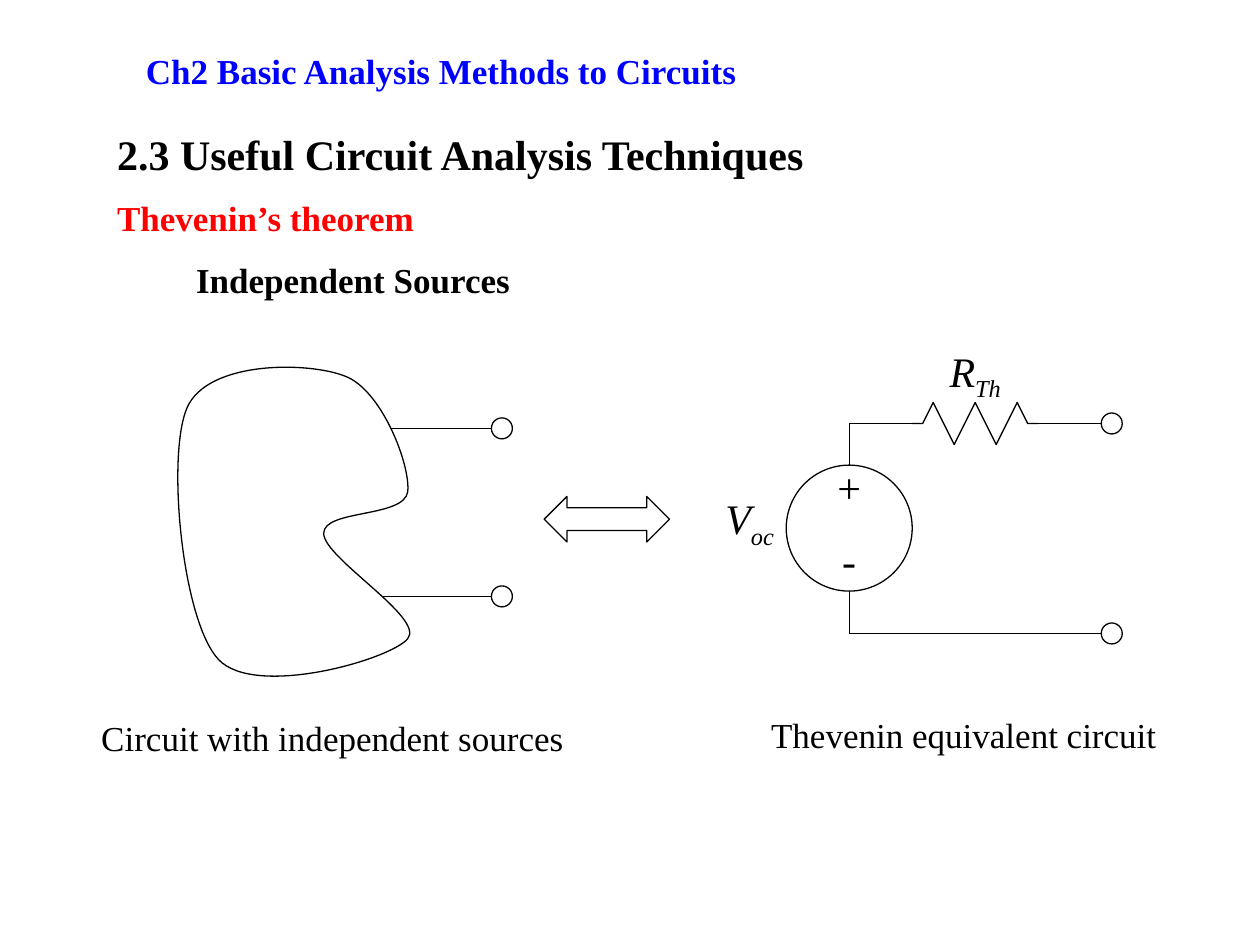
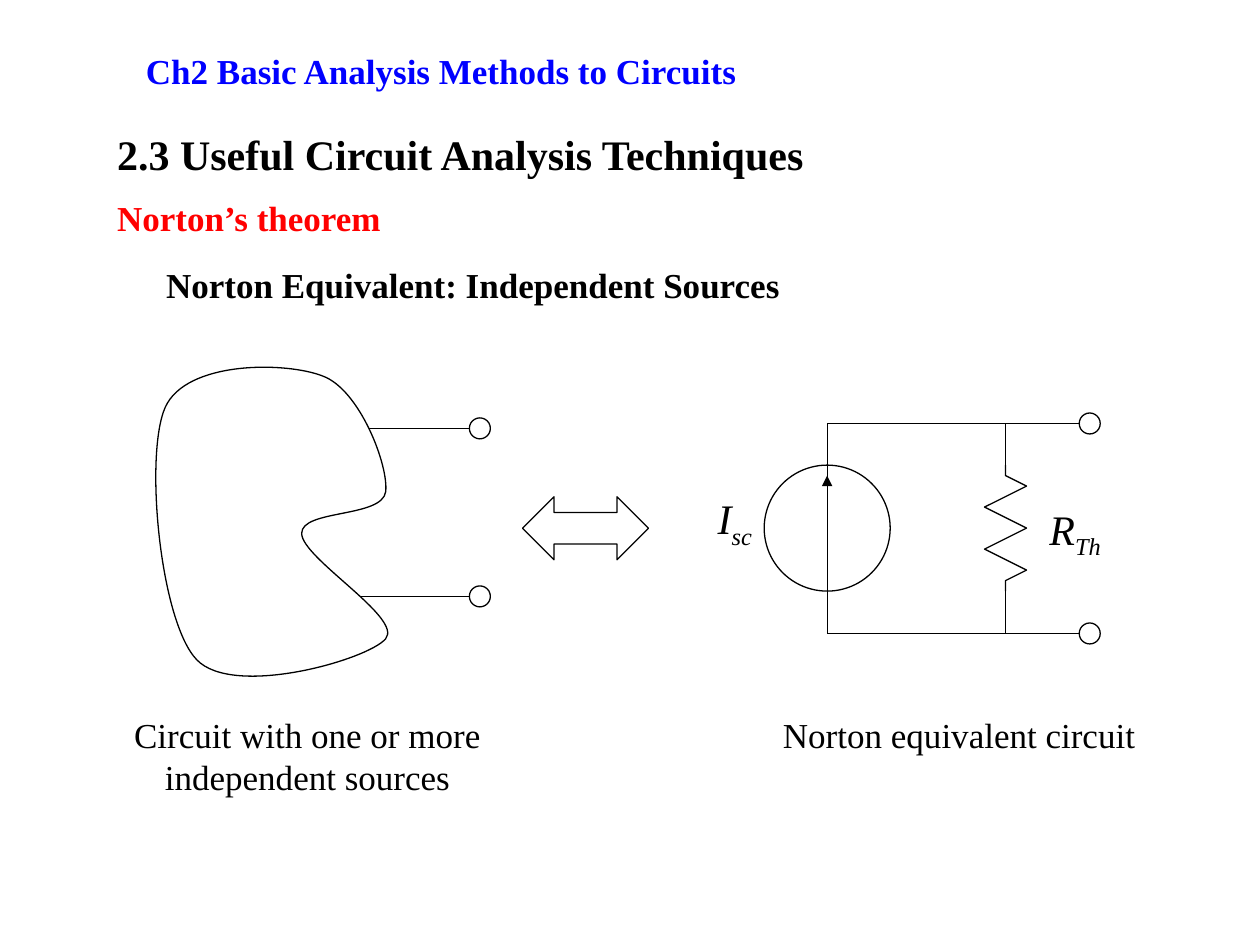
from dataclasses import dataclass

from lxml.etree import SubElement
from pptx import Presentation
from pptx.dml.color import RGBColor
from pptx.enum.shapes import MSO_CONNECTOR as Connector, MSO_SHAPE as Preset
from pptx.enum.text import MSO_ANCHOR as Anchor, PP_ALIGN as Align
from pptx.oxml.ns import qn
from pptx.util import Pt


@dataclass(frozen=True)
class Theme:
    font: str = "Times New Roman"
    ink: RGBColor = RGBColor(0, 0, 0)
    chapter: RGBColor = RGBColor(0, 0, 255)
    topic: RGBColor = RGBColor(255, 0, 0)
    paper: RGBColor = RGBColor(255, 255, 255)
    body_size: int = 20
    large_size: int = 24
    line_width: float = 0.75


THEME = Theme()

# Circuit geometry in points, shared by both slides
TOP_WIRE, BOTTOM_WIRE = 242, 362
SOURCE_X, SOURCE_Y, SOURCE_RADIUS = 485.3, 301.8, 36
TERMINAL_X, TERMINAL_SIZE = 629.3, 12
PORT_START, PORT_END, PORT_HEIGHTS = 197.3, 280.8, (340.8, 244.8)
NORTON_SHIFT = -12.6
RESISTOR_LENGTH = 72
RESISTOR_ZIGZAG = ((0, 0), (6, 0), (12, -12), (24, 12), (36, -12),
                   (48, 12), (60, -12), (66, 0), (72, 0))
NETWORK_BOX = (95, 206, 148, 193)
NETWORK_START = (107, 232.8)
NETWORK_CURVES = (
    ((119, 206), (176, 206.6), (197, 214.9)),
    ((218, 222.5), (234.7, 265.7), (233, 281)),
    ((231, 296), (185, 291), (185, 304.8)),
    ((185, 319), (243, 353), (233, 365)),
    ((223, 377), (146, 399), (125, 377)),
    ((104, 355), (95, 260), NETWORK_START),
)


def add_text(slide, box, text, size=THEME.body_size, color=THEME.ink, bold=False,
             italic=False, align=Align.LEFT, anchor=Anchor.TOP, subscript=""):
    frame = slide.shapes.add_textbox(*map(Pt, box)).text_frame
    frame.word_wrap = True
    frame.vertical_anchor = anchor
    paragraph = frame.paragraphs[0]
    paragraph.alignment = align
    font = paragraph.font
    font.name, font.size, font.bold, font.italic = THEME.font, Pt(size), bold, italic
    font.color.rgb = color
    paragraph.add_run().text = text
    if subscript:
        run = paragraph.add_run()
        run.text = subscript
        run._r.get_or_add_rPr().set("baseline", "-25000")


def add_symbol(slide, box, text, subscript="", align=Align.CENTER):
    add_text(slide, box, text, THEME.large_size, italic=bool(subscript),
             align=align, subscript=subscript)


def add_caption(slide, box, text):
    add_text(slide, box, text, align=Align.CENTER)


def outline(shape, fill=None):
    shape.shadow.inherit = False
    shape.line.color.rgb = THEME.ink
    shape.line.width = Pt(THEME.line_width)
    if fill is None:
        shape.fill.background()
    else:
        shape.fill.solid()
        shape.fill.fore_color.rgb = fill


def add_preset(slide, preset, box):
    shape = slide.shapes.add_shape(preset, *map(Pt, box))
    outline(shape)
    return shape


def add_double_arrow(slide, box, shaft):
    arrow = add_preset(slide, Preset.LEFT_RIGHT_ARROW, box)
    arrow.adjustments[0] = 0.5
    arrow.adjustments[1] = shaft


def add_wire(slide, start, end, arrowhead=False):
    wire = slide.shapes.add_connector(Connector.STRAIGHT, *map(Pt, (*start, *end)))
    wire.line.color.rgb = THEME.ink
    wire.line.width = Pt(THEME.line_width)
    if arrowhead:
        SubElement(wire.line._get_or_add_ln(), qn("a:tailEnd"), type="triangle")
    SubElement(wire._element.spPr, qn("a:effectLst"))


def add_terminal(slide, left, middle):
    add_preset(slide, Preset.OVAL,
               (left, middle - TERMINAL_SIZE / 2, TERMINAL_SIZE, TERMINAL_SIZE))


def add_polygon(slide, points, close):
    points = [(Pt(x), Pt(y)) for x, y in points]
    builder = slide.shapes.build_freeform(*points[0])
    builder.add_line_segments(points[1:], close=close)
    return builder.convert_to_shape()


def add_resistor(slide, x, y, vertical=False):
    points = [(x - across, y + along) if vertical else (x + along, y + across)
              for along, across in RESISTOR_ZIGZAG]
    outline(add_polygon(slide, points, close=False))


def add_network(slide, shift=0):
    """Draw the closed curved outline and its two ports."""
    for height in PORT_HEIGHTS:
        add_wire(slide, (PORT_START + shift, height), (PORT_END + shift, height))
        add_terminal(slide, PORT_END + shift, height)

    left, top, width, height = NETWORK_BOX
    x = left + shift
    shape = add_polygon(slide, [(x, top), (x + width, top), (x + width, top + height),
                                (x, top + height)], close=True)
    outline(shape, THEME.paper)

    # The frame's straight edges give way to Bézier curves
    path = next(shape._element.iter(qn("a:path")))
    for edge in list(path):
        path.remove(edge)

    def add_command(tag, points):
        command = SubElement(path, qn(tag))
        for px, py in points:
            SubElement(command, qn("a:pt"), x=str(Pt(px - left)), y=str(Pt(py - top)))

    add_command("a:moveTo", [NETWORK_START])
    for curve in NETWORK_CURVES:
        add_command("a:cubicBezTo", curve)
    add_command("a:close", [])


def add_source(slide, name, subscript, shift=0):
    """Draw the source circle, its name and the two output terminals."""
    x = SOURCE_X + shift
    add_symbol(slide, (x - 90, 278, 54, 40), name, subscript, Align.RIGHT)
    add_preset(slide, Preset.OVAL, (x - SOURCE_RADIUS, SOURCE_Y - SOURCE_RADIUS,
                                    2 * SOURCE_RADIUS, 2 * SOURCE_RADIUS))
    for height in (TOP_WIRE, BOTTOM_WIRE):
        add_terminal(slide, TERMINAL_X + shift, height)
    add_wire(slide, (TERMINAL_X + shift, BOTTOM_WIRE), (x, BOTTOM_WIRE))


def add_theorem_slide(presentation, topic):
    slide = presentation.slides.add_slide(presentation.slide_layouts[6])
    add_text(slide, (76.3, 20.2, 590, 39.6), "Ch2 Basic Analysis Methods to Circuits",
             color=THEME.chapter, bold=True, anchor=Anchor.MIDDLE)
    add_text(slide, (59.8, 69.8, 438, 36), "2.3 Useful Circuit Analysis Techniques",
             THEME.large_size, bold=True)
    add_text(slide, (59.8, 108.7, 340, 31.7), topic, color=THEME.topic, bold=True)
    return slide


def add_heading(slide, box, text):
    add_text(slide, box, text, bold=True, anchor=Anchor.MIDDLE)


def add_thevenin_slide(presentation):
    slide = add_theorem_slide(presentation, "Thevenin’s theorem")
    add_heading(slide, (105, 139.7, 255, 39.6), "Independent Sources")
    add_network(slide)
    add_caption(slide, (36.7, 406, 306.7, 31.7), "Circuit with independent sources")
    add_double_arrow(slide, (311, 283.7, 71.6, 26), 0.5)

    add_source(slide, "V", "oc")
    for top, sign in ((260, "+"), (301.7, "-")):
        add_symbol(slide, (SOURCE_X - 18, top, 36, 36), sign)
    for wire, side in ((TOP_WIRE, -1), (BOTTOM_WIRE, 1)):
        add_wire(slide, (SOURCE_X, SOURCE_Y + side * SOURCE_RADIUS), (SOURCE_X, wire))
    resistor_x = SOURCE_X + SOURCE_RADIUS
    add_wire(slide, (SOURCE_X, TOP_WIRE), (resistor_x, TOP_WIRE))
    add_resistor(slide, resistor_x, TOP_WIRE)
    add_wire(slide, (resistor_x + RESISTOR_LENGTH, TOP_WIRE), (TERMINAL_X, TOP_WIRE))
    add_symbol(slide, (resistor_x, 193.7, 72, 40), "R", "Th")
    add_caption(slide, (427.7, 404, 246.2, 31.7), "Thevenin equivalent circuit")


def add_norton_slide(presentation):
    slide = add_theorem_slide(presentation, "Norton’s theorem")
    add_heading(slide, (87.8, 134, 481.7, 56.9), "Norton Equivalent: Independent Sources")
    add_network(slide, NORTON_SHIFT)
    add_caption(slide, (52.6, 404, 246.2, 55.4),
                "Circuit with one or more independent sources")
    add_double_arrow(slide, (298.6, 283.9, 72, 36), 0.5)

    add_source(slide, "I", "sc", NORTON_SHIFT)
    source_x = SOURCE_X + NORTON_SHIFT
    add_wire(slide, (TERMINAL_X + NORTON_SHIFT, TOP_WIRE), (source_x, TOP_WIRE))
    add_wire(slide, (source_x, BOTTOM_WIRE), (source_x, TOP_WIRE))
    add_wire(slide, (source_x, SOURCE_Y + 30), (source_x, SOURCE_Y - 30), arrowhead=True)

    resistor_x, resistor_top = 574.6, SOURCE_Y - RESISTOR_LENGTH / 2
    add_resistor(slide, resistor_x, resistor_top, vertical=True)
    add_wire(slide, (resistor_x, resistor_top), (resistor_x, TOP_WIRE))
    add_wire(slide, (resistor_x, BOTTOM_WIRE),
             (resistor_x, resistor_top + RESISTOR_LENGTH))
    add_symbol(slide, (592.6, 283.9, 72, 40), "R", "Th", Align.LEFT)
    add_caption(slide, (425, 404, 246.2, 31.7), "Norton equivalent circuit")


def main():
    presentation = Presentation()
    presentation.slide_width, presentation.slide_height = Pt(720), Pt(540)
    add_thevenin_slide(presentation)
    add_norton_slide(presentation)
    presentation.save("out.pptx")


if __name__ == "__main__":
    main()
